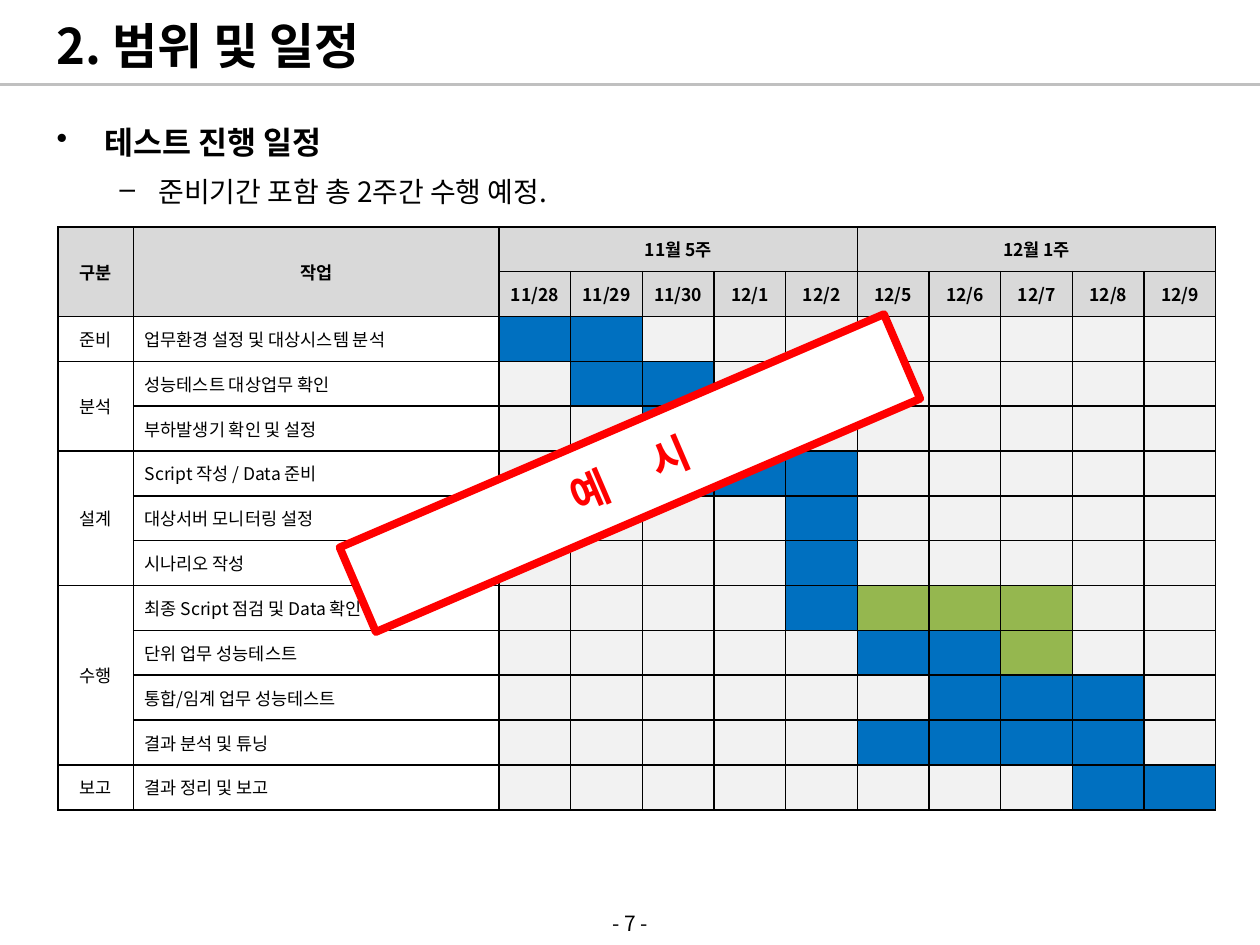
"""Build the test scope and schedule slide with its Gantt table."""
from dataclasses import dataclass
from itertools import groupby

from lxml.etree import SubElement
from pptx import Presentation
from pptx.dml.color import RGBColor
from pptx.enum.shapes import MSO_CONNECTOR, MSO_SHAPE
from pptx.enum.text import MSO_ANCHOR, PP_ALIGN
from pptx.oxml.ns import qn
from pptx.util import Inches, Pt

FONT = "Noto Sans CJK KR"
BLACK = RGBColor(0x00, 0x00, 0x00)
WHITE = RGBColor(0xFF, 0xFF, 0xFF)
RED = RGBColor(0xFF, 0x00, 0x00)
RULE_GRAY = RGBColor(0xC0, 0xC0, 0xC0)
HEADER_GRAY = RGBColor(0xD9, 0xD9, 0xD9)
DAY_COLORS = {
    ".": RGBColor(0xF2, 0xF2, 0xF2),
    "B": RGBColor(0x00, 0x70, 0xC0),
    "G": RGBColor(0x95, 0xB7, 0x4F),
}


@dataclass(frozen=True)
class Week:
    label: str
    days: tuple[str, ...]


@dataclass(frozen=True)
class Task:
    phase: str
    label: str
    days: str


@dataclass(frozen=True)
class Bullet:
    text: str
    mark: str
    size: int
    bold: bool
    margin: float
    hanging: float
    before: int


WEEKS = (
    Week("11월 5주", ("11/28", "11/29", "11/30", "12/1", "12/2")),
    Week("12월 1주", ("12/5", "12/6", "12/7", "12/8", "12/9")),
)
TASKS = (
    Task("준비", "업무환경 설정 및 대상시스템 분석", "BB........"),
    Task("분석", "성능테스트 대상업무 확인", ".BB......."),
    Task("분석", "부하발생기 확인 및 설정", "..B......."),
    Task("설계", "Script 작성 / Data 준비", "..BBB....."),
    Task("설계", "대상서버 모니터링 설정", "....B....."),
    Task("설계", "시나리오 작성", "....B....."),
    Task("수행", "최종 Script 점검 및 Data 확인", "....BGGG.."),
    Task("수행", "단위 업무 성능테스트", ".....BBG.."),
    Task("수행", "통합/임계 업무 성능테스트", "......BBB."),
    Task("수행", "결과 분석 및 튜닝", ".....BBBB."),
    Task("보고", "결과 정리 및 보고", "........BB"),
)
BULLETS = (
    Bullet("테스트 진행 일정", "•", 18, True, 0.38, 0.38, 0),
    Bullet("준비기간 포함 총 2주간 수행 예정.", "–", 16, False, 0.81, 0.31, 2),
)


def add_run(paragraph, text: str, size: int, bold: bool = False, color: RGBColor = BLACK):
    run = paragraph.add_run()
    run.text = text
    run.font.size = Pt(size)
    run.font.bold = bold
    run.font.color.rgb = color
    run.font.name = FONT
    SubElement(run.font._element, qn("a:ea"), typeface=FONT)
    return run


def add_line(slide, y: float) -> None:
    rule = slide.shapes.add_connector(
        MSO_CONNECTOR.STRAIGHT, 0, Inches(y), Inches(10), Inches(y))
    rule.line.color.rgb = RULE_GRAY
    rule.line.width = Pt(1.3)
    SubElement(rule._element.spPr, qn("a:effectLst"))


def add_title(slide, text: str) -> None:
    title = slide.shapes.title
    title.left, title.top = Inches(0.35), Inches(0.05)
    title.width, title.height = Inches(9.29), Inches(0.62)
    title.text_frame.vertical_anchor = MSO_ANCHOR.MIDDLE
    paragraph = title.text_frame.paragraphs[0]
    paragraph.alignment = PP_ALIGN.LEFT
    add_run(paragraph, text, 28, True)


def add_bullets(slide, bullets: tuple[Bullet, ...]) -> None:
    body = slide.shapes.add_textbox(
        Inches(0.35), Inches(0.84), Inches(9.29), Inches(0.95)).text_frame
    body.word_wrap = True
    for index, bullet in enumerate(bullets):
        paragraph = body.add_paragraph() if index else body.paragraphs[0]
        paragraph.level = index
        paragraph.line_spacing = 1.3
        if bullet.before:
            paragraph.space_before = Pt(bullet.before)
        properties = paragraph._p.get_or_add_pPr()
        properties.set("marL", str(Inches(bullet.margin)))
        properties.set("indent", str(-Inches(bullet.hanging)))
        SubElement(properties, qn("a:buChar"), char=bullet.mark)
        add_run(paragraph, bullet.text, bullet.size, bullet.bold)


def add_borders(cell) -> None:
    properties = cell._tc.get_or_add_tcPr()
    for position, side in enumerate(("a:lnL", "a:lnR", "a:lnT", "a:lnB")):
        border = properties.makeelement(qn(side), {"w": str(Pt(1))})
        properties.insert(position, border)
        fill = SubElement(border, qn("a:solidFill"))
        SubElement(fill, qn("a:srgbClr"), val=str(BLACK))


def set_margins(cell, side: float, vertical: float) -> None:
    cell.margin_left = cell.margin_right = Inches(side)
    cell.margin_top = cell.margin_bottom = Inches(vertical)


def write_cell(cell, text: str, bold: bool = False, centered: bool = True) -> None:
    cell.vertical_anchor = MSO_ANCHOR.MIDDLE
    set_margins(cell, 0.09, 0.05)
    paragraph = cell.text_frame.paragraphs[0]
    paragraph.alignment = PP_ALIGN.CENTER if centered else PP_ALIGN.LEFT
    add_run(paragraph, text, 10, bold)


def fill_cell(cell, color: RGBColor) -> None:
    cell.fill.solid()
    cell.fill.fore_color.rgb = color


def add_schedule(slide, weeks: tuple[Week, ...], tasks: tuple[Task, ...]) -> None:
    day_count = sum(len(week.days) for week in weeks)
    schedule = slide.shapes.add_table(
        len(tasks) + 2, day_count + 2,
        Inches(0.46), Inches(1.8), Inches(9.19), Inches(4.63)).table
    schedule.first_row = schedule.horz_banding = False
    for column, width in zip(schedule.columns, [0.6, 2.9] + [5.69 / day_count] * day_count):
        column.width = Inches(width)
    for cell in schedule.iter_cells():
        set_margins(cell, 0, 0)
        cell.fill.background()
        add_borders(cell)

    for row in range(2):
        for column in range(day_count + 2):
            fill_cell(schedule.cell(row, column), HEADER_GRAY)
    for column, heading in enumerate(("구분", "작업")):
        schedule.cell(0, column).merge(schedule.cell(1, column))
        write_cell(schedule.cell(0, column), heading, True)
    first = 2
    for week in weeks:
        last = first + len(week.days) - 1
        schedule.cell(0, first).merge(schedule.cell(0, last))
        write_cell(schedule.cell(0, first), week.label, True)
        for column, day in enumerate(week.days, first):
            write_cell(schedule.cell(1, column), day, True)
            set_margins(schedule.cell(1, column), 0.04, 0.04)
        first = last + 1

    row = 2
    for phase, members in groupby(tasks, key=lambda task: task.phase):
        phase_cell = schedule.cell(row, 0)
        for task in members:
            write_cell(schedule.cell(row, 1), task.label, centered=False)
            for column, mark in enumerate(task.days, 2):
                fill_cell(schedule.cell(row, column), DAY_COLORS[mark])
            row += 1
        if not phase_cell._tc is schedule.cell(row - 1, 0)._tc:
            phase_cell.merge(schedule.cell(row - 1, 0))
        write_cell(phase_cell, phase)


def add_stamp(slide, first: str, second: str) -> None:
    stamp = slide.shapes.add_shape(
        MSO_SHAPE.RECTANGLE, Inches(2.65), Inches(3.39), Inches(4.7), Inches(0.73))
    stamp.rotation = 336.8
    stamp.shadow.inherit = False
    stamp.fill.solid()
    stamp.fill.fore_color.rgb = WHITE
    stamp.line.color.rgb = RED
    stamp.line.width = Pt(4.5)
    stamp.text_frame.vertical_anchor = MSO_ANCHOR.MIDDLE
    paragraph = stamp.text_frame.paragraphs[0]
    paragraph.alignment = PP_ALIGN.CENTER
    add_run(paragraph, first, 24, True, RED)
    gap = add_run(paragraph, " ", 24, True, RED)
    gap.font._element.set("spc", "2200")
    add_run(paragraph, second, 24, True, RED)


def add_page_number(slide, text: str) -> None:
    footer = slide.shapes.add_textbox(
        Inches(4.33), Inches(7.15), Inches(1.34), Inches(0.35)).text_frame
    footer.word_wrap = True
    footer.vertical_anchor = MSO_ANCHOR.MIDDLE
    footer.paragraphs[0].alignment = PP_ALIGN.CENTER
    add_run(footer.paragraphs[0], text, 12)


def main() -> None:
    deck = Presentation()
    deck.slide_width, deck.slide_height = Inches(10), Inches(7.5)
    slide = deck.slides.add_slide(deck.slide_layouts[5])
    add_line(slide, 0.67)
    add_title(slide, "2. 범위 및 일정")
    add_bullets(slide, BULLETS)
    add_page_number(slide, "- 7 -")
    add_schedule(slide, WEEKS, TASKS)
    add_stamp(slide, "예", "시")
    deck.save("out.pptx")


if __name__ == "__main__":
    main()
